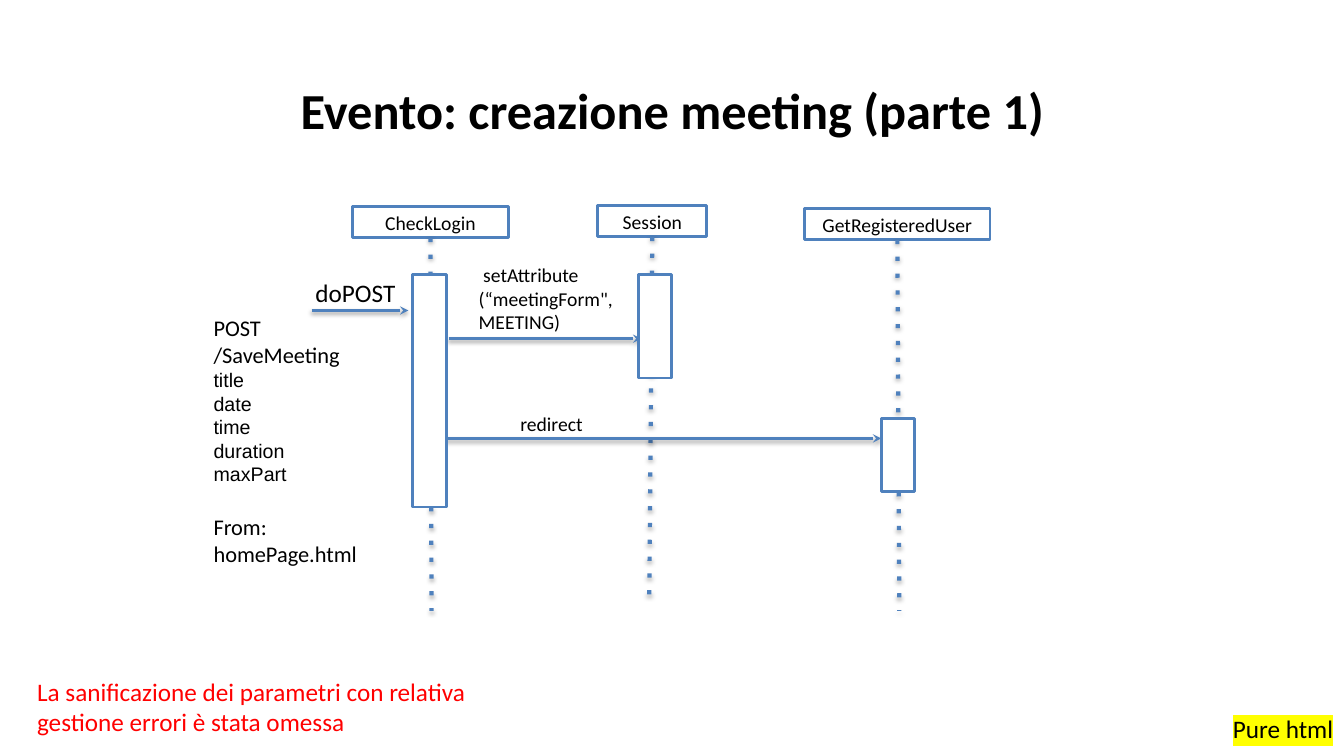
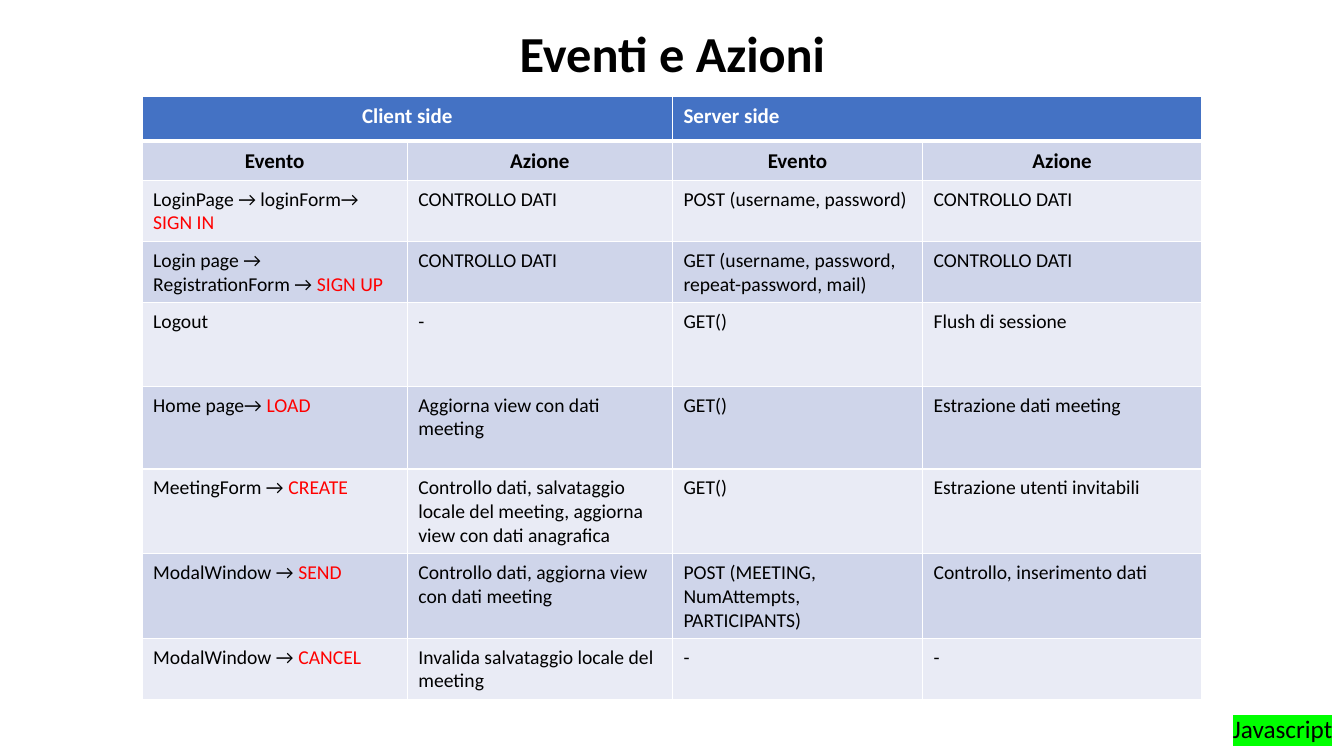
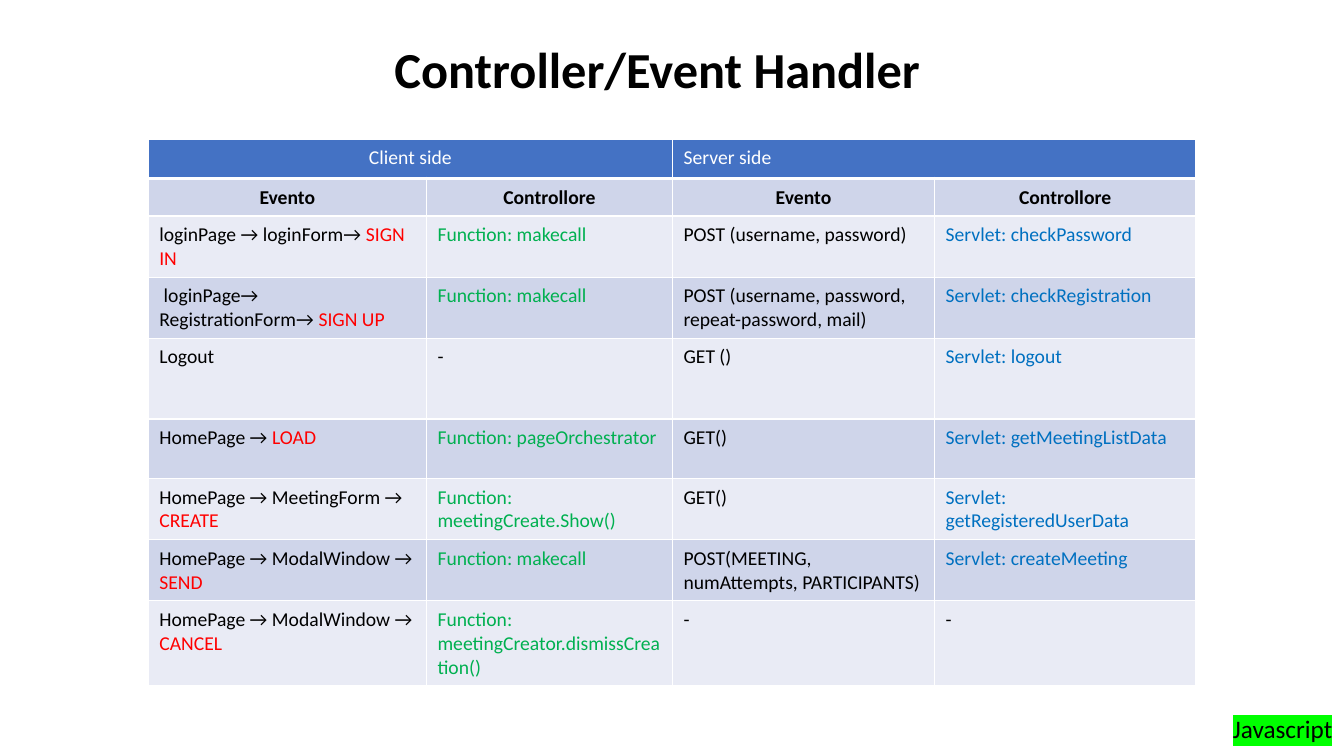
from pptx import Presentation
from pptx import util as u
from pptx.dml.color import RGBColor
from pptx.enum import shapes, text
from pptx.oxml import parse_xml
from pptx.oxml.ns import nsdecls, qn

THEME = {
    "font": "Calibri", "mono": "Arial",
    "black": "000000", "white": "FFFFFF", "red": "FF0000",
    "green": "00B050", "blue": "0070C0",
    "line": "4F81BD", "head": "4472C4", "bands": ("E9EBF5", "CFD5EA"),
    "title": 36, "note": 18, "label": 16, "small": 14,
}

TAGS = {"Pure html": "FFFF00", "Javascript": "00FF00"}

LIFELINES = [
    ("CheckLogin", (3.5, 2.05, 1.54, 0.31), (4.28, 6.06)),
    ("Session", (5.93, 2.04, 1.08, 0.31), (6.44, 5.92)),
    ("GetRegisteredUser", (7.98, 2.07, 1.84, 0.31), (8.92, 6.06)),
]
MESSAGES = [(3.09, 4.05, 3.08), (4.45, 6.36, 3.36), (4.42, 8.74, 4.35)]
ACTIVATIONS = [(4.09, 2.72, 0.34, 2.31), (6.33, 2.72, 0.33, 1.03),
               (8.74, 4.15, 0.33, 0.73)]
REQUEST = ["POST", "/SaveMeeting"]
PARAMETERS = ["title", "date", "time", "duration", "maxPart"]
SOURCE = "From: homePage.html"
WARNING = ["La sanificazione dei parametri con relativa ",
           "gestione errori è stata omessa"]

ACTIONS = {
    "title": "Eventi e Azioni", "title_at": (0.92, 0.16, 11.5, 0.8),
    "at": (1.41, 0.96), "head_size": 15, "head_bold": True,
    "columns": (2.63, 2.63, 2.48, 2.77),
    "heights": (0.44, 0.38, 0.6, 0.6, 0.83, 0.82, 0.83, 0.83, 0.6),
    "labels": ("Evento", "Azione", "Evento", "Azione"),
    "colours": ("black", "black", "black", "black"),
    "rows": [
        (("LoginPage → loginForm→ ", "SIGN IN"), "CONTROLLO DATI",
         "POST (username, password)", "CONTROLLO DATI"),
        (("Login page → RegistrationForm → ", "SIGN UP"), "CONTROLLO DATI",
         "GET (username, password, repeat-password, mail)", "CONTROLLO DATI"),
        ("Logout", "-", "GET()", "Flush di sessione"),
        (("Home page→ ", "LOAD"), "Aggiorna view con dati meeting",
         "GET()", "Estrazione dati meeting"),
        (("MeetingForm → ", "CREATE"),
         "Controllo dati, salvataggio locale del meeting, "
         "aggiorna view con dati anagrafica",
         "GET()", "Estrazione utenti invitabili"),
        (("ModalWindow → ", "SEND"),
         "Controllo dati, aggiorna view con dati meeting",
         "POST (MEETING, NumAttempts, PARTICIPANTS)",
         "Controllo, inserimento dati"),
        (("ModalWindow → ", "CANCEL"),
         "Invalida salvataggio locale del meeting", "-", "-"),
    ],
}
HANDLERS = {
    "title": "Controller/Event Handler", "title_at": (0.77, 0.27, 11.5, 0.89),
    "at": (1.47, 1.38), "head_size": 14, "head_bold": False,
    "columns": (2.76, 2.44, 2.6, 2.59),
    "heights": (0.39, 0.36, 0.6, 0.6, 0.8, 0.59, 0.6, 0.6, 0.83),
    "labels": ("Evento", "Controllore", "Evento", "Controllore"),
    "colours": ("black", "green", "black", "blue"),
    "rows": [
        (("loginPage → loginForm→ ", "SIGN IN"), "Function: makecall",
         "POST (username, password)", "Servlet: checkPassword"),
        ((" loginPage→ RegistrationForm→ ", "SIGN UP "), "Function: makecall",
         "POST (username, password, repeat-password, mail)",
         "Servlet: checkRegistration"),
        ("Logout", "-", "GET ()", "Servlet: logout"),
        (("HomePage → ", "LOAD"), "Function: pageOrchestrator",
         "GET()", "Servlet: getMeetingListData"),
        (("HomePage → MeetingForm → ", "CREATE"),
         "Function: meetingCreate.Show()",
         "GET()", "Servlet: getRegisteredUserData"),
        (("HomePage → ModalWindow → ", "SEND "), "Function: makecall",
         "POST(MEETING, numAttempts, PARTICIPANTS)",
         "Servlet: createMeeting"),
        (("HomePage → ModalWindow → ", "CANCEL"),
         "Function: meetingCreator.dismissCreation()", "-", "-"),
    ],
}


def apply(target, values):
    for name, value in values.items():
        setattr(target, name, value)


def inches(values):
    return [u.Inches(value) for value in values]


def colour(value):
    return RGBColor.from_string(value)


def write(para, content, size, ink="black", bold=False, font="font"):
    span = para.add_run()
    span.text = content
    apply(span.font, {"name": THEME[font], "size": u.Pt(size), "bold": bold})
    span.font.color.rgb = colour(THEME[ink])
    return span


def add_text(page, at, lines, size, ink="black", bold=False, wrap=True,
             paragraph=None, frame=None):
    box = page.shapes.add_textbox(*inches(at))
    apply(box.text_frame, {"word_wrap": wrap, **(frame or {})})
    for index, line in enumerate(lines):
        para = (box.text_frame.add_paragraph() if index
                else box.text_frame.paragraphs[0])
        apply(para, paragraph or {})
        write(para, line, size, ink, bold)
    return box


def add_page(title, title_at, tag):
    page = deck.slides.add_slide(deck.slide_layouts[6])
    add_text(page, title_at, [title], THEME["title"], bold=True,
             paragraph={"alignment": text.PP_ALIGN.CENTER, "line_spacing": 0.9},
             frame={"vertical_anchor": text.MSO_ANCHOR.MIDDLE})
    box = add_text(page, (12.13, 7.03, 1.2, 0.4), [tag], THEME["note"], wrap=False)
    fill = box.text_frame.paragraphs[0].runs[0].font.fill
    fill.solid()
    fill.fore_color.rgb = colour(THEME["black"])
    solid = next(box.element.iter(qn("a:solidFill")))
    solid.addnext(parse_xml(
        f'<a:highlight {nsdecls("a")}><a:srgbClr val="{TAGS[tag]}"/></a:highlight>'))
    return page


def add_box(page, at, label=""):
    box = page.shapes.add_shape(shapes.MSO_SHAPE.RECTANGLE, *inches(at))
    box.shadow.inherit = False
    box.fill.solid()
    box.fill.fore_color.rgb = colour(THEME["white"])
    box.line.color.rgb = colour(THEME["line"])
    box.line.width = u.Pt(2)
    if label:
        para = box.text_frame.paragraphs[0]
        para.alignment = text.PP_ALIGN.CENTER
        write(para, label, THEME["small"])


def add_line(page, start, end, width, mark, alpha, distance):
    line = page.shapes.add_connector(
        shapes.MSO_CONNECTOR.STRAIGHT, *inches((*start, *end)))
    line.line.color.rgb = colour(THEME["line"])
    line.line.width = u.Pt(width)
    properties = line.element.spPr
    properties.find(qn("a:ln")).append(parse_xml(mark))
    properties.append(parse_xml(
        f'<a:effectLst {nsdecls("a")}><a:outerShdw blurRad="{u.Pt(3.1)}" '
        f'dist="{u.Pt(distance)}" dir="5400000" rotWithShape="0">'
        f'<a:srgbClr val="{THEME["black"]}"><a:alpha val="{alpha * 1000}"/>'
        '</a:srgbClr></a:outerShdw></a:effectLst>'))


def add_sequence():
    page = add_page("Evento: creazione meeting (parte 1)",
                    (0.92, 0.4, 11.5, 1.45), "Pure html")
    dots = f'<a:prstDash {nsdecls("a")} val="dot"/>'
    arrow = f'<a:tailEnd {nsdecls("a")} type="stealth"/>'
    for label, at, foot in LIFELINES:
        left, top, width, height = at
        add_box(page, at, label)
        add_line(page, (left + width / 2, top + height), foot, 3, dots, 35, 1.8)
    for start, end, y in MESSAGES:
        add_line(page, (start, y), (end, y), 2, arrow, 38, 1.6)
    for at in ACTIVATIONS:
        add_box(page, at)
    add_text(page, (3.03, 2.7, 1.05, 0.3), ["doPOST"], THEME["note"])
    add_text(page, (4.65, 2.56, 1.6, 0.78),
             [' setAttribute (“meetingForm", MEETING)'], THEME["small"])
    add_text(page, (4.31, 4.04, 2.32, 0.28), ["redirect"], THEME["small"],
             paragraph={"alignment": text.PP_ALIGN.CENTER})
    request = add_text(page, (2.02, 3.07, 1.73, 2.67), REQUEST, THEME["label"])
    for name in PARAMETERS:
        write(request.text_frame.add_paragraph(), name, THEME["small"], font="mono")
    para = request.text_frame.add_paragraph()
    para.space_before = u.Pt(19.5)
    write(para, SOURCE, THEME["label"])
    add_text(page, (0.27, 6.66, 4.56, 0.71), WARNING, THEME["note"], "red", wrap=False)


def style_cell(cell, fill, top=1, bottom=1):
    apply(cell, dict(zip(
        ("margin_left", "margin_top", "margin_right", "margin_bottom"),
        inches((0.11, 0.07, 0.11, 0.07)))))
    properties = cell._tc.get_or_add_tcPr()
    for side, width in (("L", 1), ("R", 1), ("T", top), ("B", bottom)):
        properties.append(parse_xml(
            f'<a:ln{side} {nsdecls("a")} w="{u.Pt(width)}"><a:solidFill>'
            f'<a:srgbClr val="{THEME["white"]}"/></a:solidFill></a:ln{side}>'))
    cell.fill.solid()
    cell.fill.fore_color.rgb = colour(fill)


def add_events(data):
    page = add_page(data["title"], data["title_at"], "Javascript")
    size = (sum(data["columns"]), sum(data["heights"]))
    grid = page.shapes.add_table(len(data["heights"]), len(data["columns"]),
                                 *inches((*data["at"], *size))).table
    for column, width in zip(grid.columns, data["columns"]):
        column.width = u.Inches(width)
    for row, height in zip(grid.rows, data["heights"]):
        row.height = u.Inches(height)
    for column in range(4):
        style_cell(grid.cell(0, column), THEME["head"], bottom=3)
    for column, label, align in ((0, "Client side", text.PP_ALIGN.CENTER),
                                 (2, "Server side", text.PP_ALIGN.LEFT)):
        cell = grid.cell(0, column)
        cell.merge(grid.cell(0, column + 1))
        para = cell.text_frame.paragraphs[0]
        para.alignment = align
        write(para, label, data["head_size"], "white", data["head_bold"])
    for column, label in enumerate(data["labels"]):
        cell = grid.cell(1, column)
        style_cell(cell, THEME["bands"][1])
        para = cell.text_frame.paragraphs[0]
        para.alignment = text.PP_ALIGN.CENTER
        write(para, label, data["head_size"], bold=True)
    for index, row in enumerate(data["rows"], 2):
        for column, content in enumerate(row):
            cell = grid.cell(index, column)
            style_cell(cell, THEME["bands"][index % 2])
            para = cell.text_frame.paragraphs[0]
            if isinstance(content, tuple):
                for part, ink in zip(content, ("black", "red")):
                    write(para, part, THEME["small"], ink)
            else:
                ink = "black" if content == "-" else data["colours"][column]
                write(para, content, THEME["small"], ink)


deck = Presentation()
apply(deck, {"slide_width": u.Inches(13.33), "slide_height": u.Inches(7.5)})
add_sequence()
add_events(ACTIONS)
add_events(HANDLERS)
deck.save("out.pptx")
